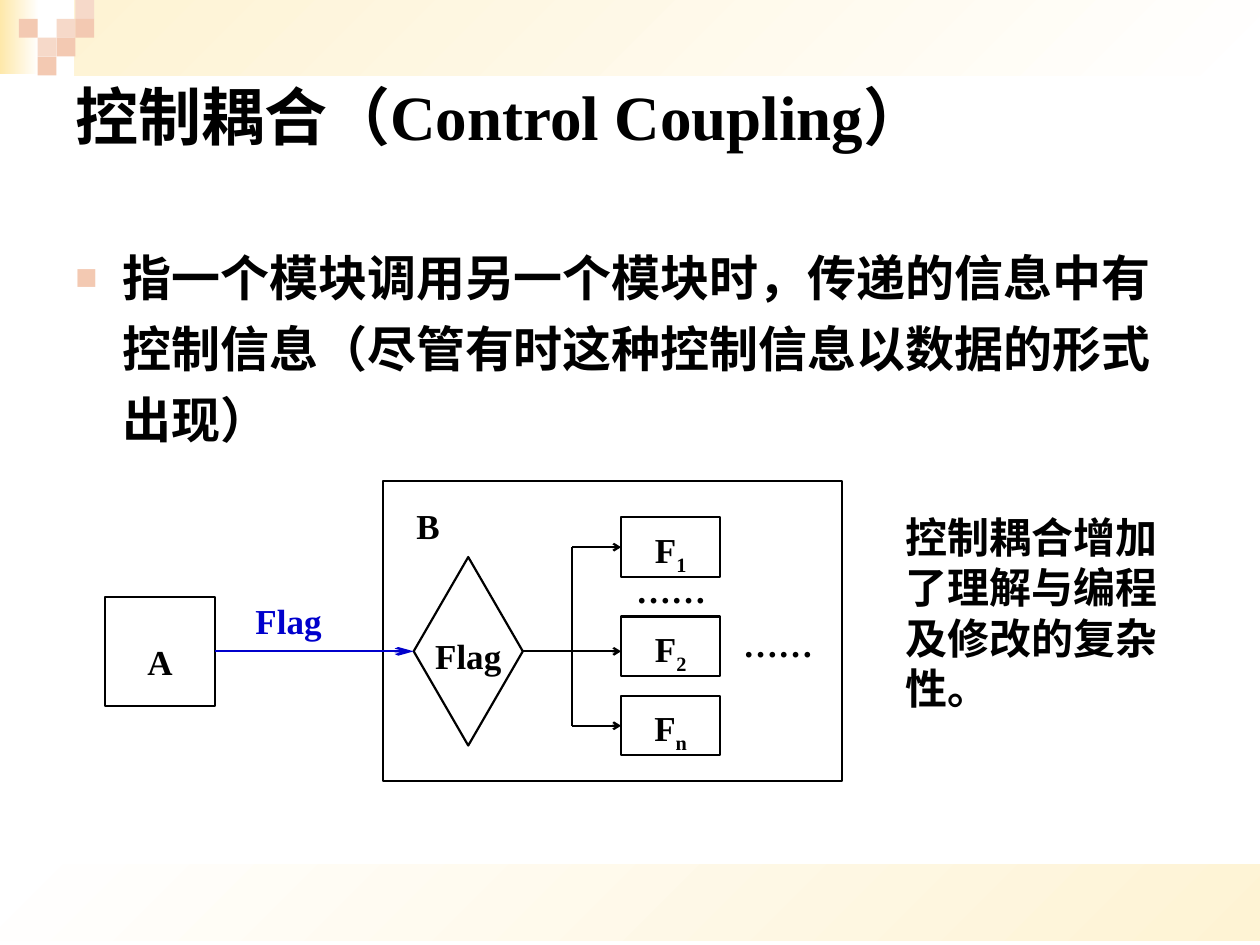
from dataclasses import dataclass

import pptx
import pptx.dml.color
import pptx.enum.shapes
import pptx.enum.text
import pptx.oxml
import pptx.oxml.ns
import pptx.util
from pptx.util import Cm, Pt

SHAPE = pptx.enum.shapes.MSO_SHAPE
ALIGN = pptx.enum.text.PP_ALIGN
ANCHOR = pptx.enum.text.MSO_ANCHOR
NS = pptx.oxml.ns.nsdecls("a")
FONT = "Times New Roman"
BLACK, BLUE, WHITE = "000000", "0000CC", "FFFFFF"
PEACH, PALE_PEACH = "F3C9B2", "F6D9C9"
LEFT, RIGHT = 1, 3
TIGHT = (0.05, 0.03, 0.05, 0.03)
BOXED = (0.25, 0.03, 0.25, 0.03)
NORMAL = (0.25, 0.13, 0.25, 0.13)


@dataclass
class Band:
    box: tuple
    color: str
    angle: int


@dataclass
class Label:
    text: str
    box: tuple
    spacing: float = 1.0
    align: int = ALIGN.CENTER
    margins: tuple = TIGHT
    color: str = BLACK
    size: float = 20


@dataclass
class Module:
    sub: str
    top: float


BANDS = [
    Band((0, 17.42, 25.4, 1.54), "FEF3D4", 315),
    Band((1.5, 0, 23.9, 1.52), "FEF3D4", 135),
    Band((0, 0, 0.79, 1.5), "FEE8AA", 180),
]
CELL = 0.38
MOSAIC = {
    PALE_PEACH: [(3, 1), (4, 0), (2, 2)],
    PEACH: [(4, 1), (1, 1), (3, 2), (2, 3)],
}
MODULES = [Module("1", 10.43), Module("2", 12.43), Module("n", 14.03)]
MODULE_X, MODULE_W, MODULE_H = 12.52, 2.0, 1.2
AXIS_Y, SPINE_X = 13.13, 11.54
LABELS = [
    Label("B", (7.73, 9.12, 1.8, 2), 2.2),
    Label("Flag", (8.34, 12.5, 2.2, 1.45), 1.3, margins=(0.15, 0.03, 0.15, 0.03)),
    Label("……", (12.53, 11.43, 2, 1.09)),
    Label("……", (14.73, 12.42, 2.97, 1.65), align=ALIGN.JUSTIFY, margins=NORMAL),
    Label("Flag", (5.1, 11.71, 1.8, 1.4), 1.4, ALIGN.JUSTIFY, color=BLUE),
    Label("控制耦合增加了理解与编程及修改的复杂性。", (18.01, 10.18, 5.72, 4.32),
          align=ALIGN.LEFT, margins=NORMAL, size=24),
]


def rgb(value: str) -> pptx.dml.color.RGBColor:
    return pptx.dml.color.RGBColor.from_string(value)


def place(sp, box: tuple) -> None:
    sp.left, sp.top, sp.width, sp.height = map(Cm, box)


def write(tf, text: str, *, size: float = 20, color: str = BLACK, align=ALIGN.LEFT,
          spacing: float = 1.0, margins: tuple = NORMAL, anchor=ANCHOR.TOP,
          sub: str = "") -> None:
    """Fill a text frame with one paragraph, optionally ending in a subscript."""
    tf.word_wrap = True
    tf.auto_size = pptx.enum.text.MSO_AUTO_SIZE.NONE
    tf.vertical_anchor = anchor
    tf.margin_left, tf.margin_top, tf.margin_right, tf.margin_bottom = map(Cm, margins)
    p = tf.paragraphs[0]
    p.alignment, p.line_spacing, p.space_before = align, spacing, Pt(0)
    for part in filter(None, (text, sub)):
        r = p.add_run()
        r.text = part
        r.font.name, r.font.size, r.font.bold = FONT, Pt(size), True
        r.font.color.rgb = rgb(color)
    if sub:
        r._r.get_or_add_rPr().set("baseline", "-25000")


def add_box(s, box: tuple, *, kind=SHAPE.RECTANGLE, fill: str = "", line: str = ""):
    sp = s.shapes.add_shape(kind, *map(Cm, box))
    sp.shadow.inherit = False
    if fill:
        sp.fill.solid()
        sp.fill.fore_color.rgb = rgb(fill)
    else:
        sp.fill.background()
    if line:
        sp.line.color.rgb = rgb(line)
        sp.line.width = Pt(1.25)
    else:
        sp.line.fill.background()
    return sp


def add_band(s, band: Band) -> None:
    sp = add_box(s, band.box)
    sp.fill.gradient()
    sp.fill.gradient_angle = band.angle
    for stop, color in zip(sp.fill.gradient_stops, (WHITE, band.color)):
        stop.color.rgb = rgb(color)


def add_label(s, label: Label) -> None:
    sp = s.shapes.add_textbox(*map(Cm, label.box))
    write(sp.text_frame, label.text, size=label.size, color=label.color,
          align=label.align, spacing=label.spacing, margins=label.margins)


def add_line(s, start: tuple, end: tuple, *, color: str = BLACK, head: str = "sm",
             begin=None, finish=None) -> None:
    """Draw a line; head is the arrow length, begin and finish are (shape, side) pairs."""
    cn = s.shapes.add_connector(pptx.enum.shapes.MSO_CONNECTOR.STRAIGHT,
                                *map(Cm, start + end))
    if begin:
        cn.begin_connect(*begin)
    if finish:
        cn.end_connect(*finish)
    cn.line.color.rgb = rgb(color)
    cn.line.width = Pt(1.25)
    if head:
        cn.line._get_or_add_ln().append(pptx.oxml.parse_xml(
            f'<a:tailEnd {NS} type="arrow" w="sm" len="{head}"/>'))
    cn._element.spPr.append(pptx.oxml.parse_xml(f'<a:effectLst {NS}/>'))


def add_bullet(p) -> None:
    pPr = p._p.get_or_add_pPr()
    pPr.set("marL", str(Cm(0.95)))
    pPr.set("indent", str(-Cm(0.95)))
    for xml in (f'<a:buClr {NS}><a:srgbClr val="{PEACH}"/></a:buClr>',
                f'<a:buSzPct {NS} val="75000"/>',
                f'<a:buChar {NS} char="■"/>'):
        pPr.append(pptx.oxml.parse_xml(xml))


def draw_diagram(s) -> None:
    caller = add_box(s, (2.12, AXIS_Y - 1.1, 2.21, 2.2), fill=WHITE, line=BLACK)
    write(caller.text_frame, "A", align=ALIGN.CENTER, spacing=2,
          margins=(0.25, 0.03, 0.25, 0.13))
    decision = add_box(s, (8.34, AXIS_Y - 1.9, 2.2, 3.8), kind=SHAPE.DIAMOND, line=BLACK)
    mids = [m.top + MODULE_H / 2 for m in MODULES]
    for module, mid in zip(MODULES, mids):
        sp = add_box(s, (MODULE_X, module.top, MODULE_W, MODULE_H), fill=WHITE, line=BLACK)
        write(sp.text_frame, "F", sub=module.sub, align=ALIGN.CENTER, spacing=1.2,
              margins=BOXED)
        if module.sub == "2":
            add_line(s, (10.54, AXIS_Y), (MODULE_X, AXIS_Y), begin=(decision, RIGHT))
        else:
            add_line(s, (SPINE_X, mid), (MODULE_X, mid), finish=(sp, LEFT))
    add_line(s, (SPINE_X, mids[0]), (SPINE_X, mids[-1]), head="")
    add_box(s, (7.72, 9.69, 9.25, 6.05), line=BLACK)
    add_line(s, (4.33, AXIS_Y), (8.34, AXIS_Y), color=BLUE, head="lg",
             begin=(caller, RIGHT), finish=(decision, LEFT))


def main() -> None:
    prs = pptx.Presentation()
    prs.slide_width, prs.slide_height = Cm(25.4), Cm(19.05)
    s = prs.slides.add_slide(prs.slide_layouts[1])
    for band in BANDS:
        add_band(s, band)
    for color, cells in MOSAIC.items():
        for col, row in cells:
            add_box(s, (col * CELL, row * CELL, CELL, CELL), fill=color)

    title, body = s.shapes.title, s.placeholders[1]
    place(title, (1.27, 0.41, 22.86, 3.81))
    write(title.text_frame, "控制耦合（Control Coupling）", size=36, anchor=ANCHOR.MIDDLE)
    place(body, (1.27, 4.63, 22.86, 5.61))
    add_bullet(body.text_frame.paragraphs[0])
    write(body.text_frame, "指一个模块调用另一个模块时，传递的信息中有控制信息"
          "（尽管有时这种控制信息以数据的形式出现）", size=28, spacing=1.2)

    draw_diagram(s)
    for label in LABELS:
        add_label(s, label)
    prs.save("out.pptx")


if __name__ == "__main__":
    main()
